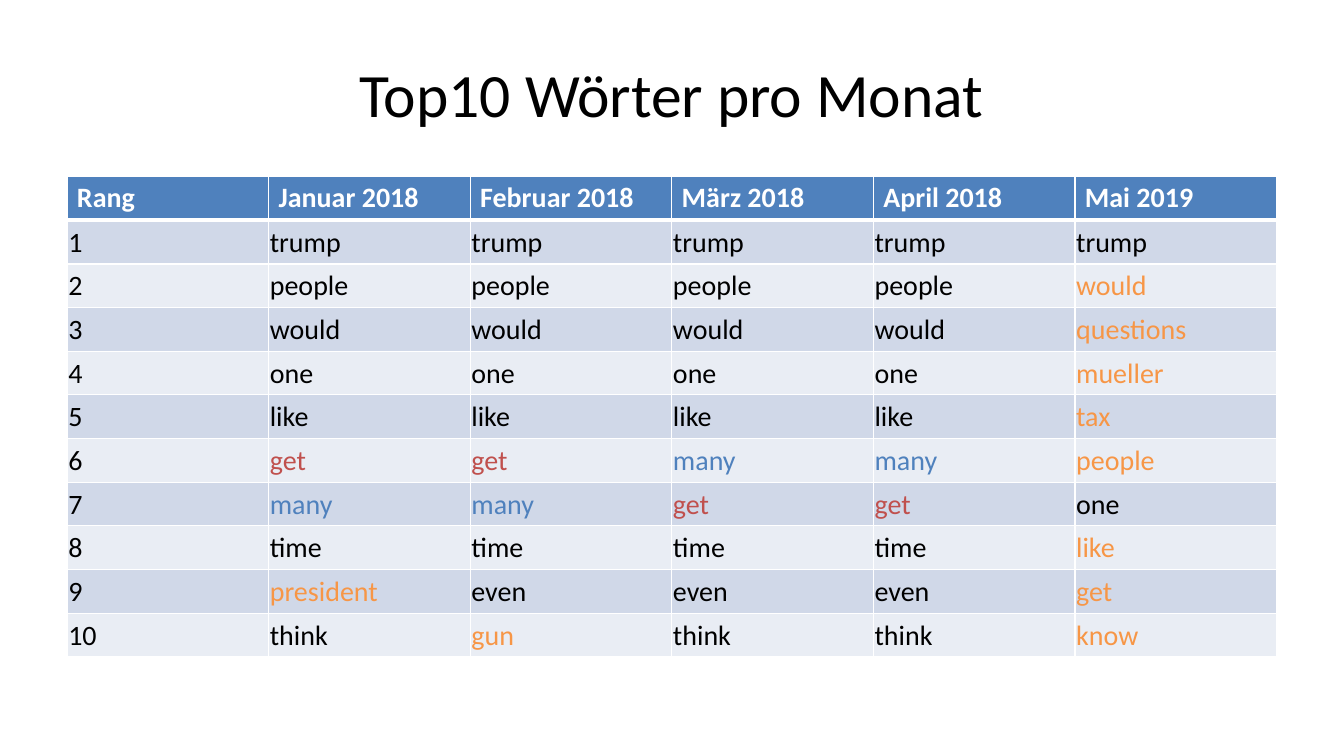
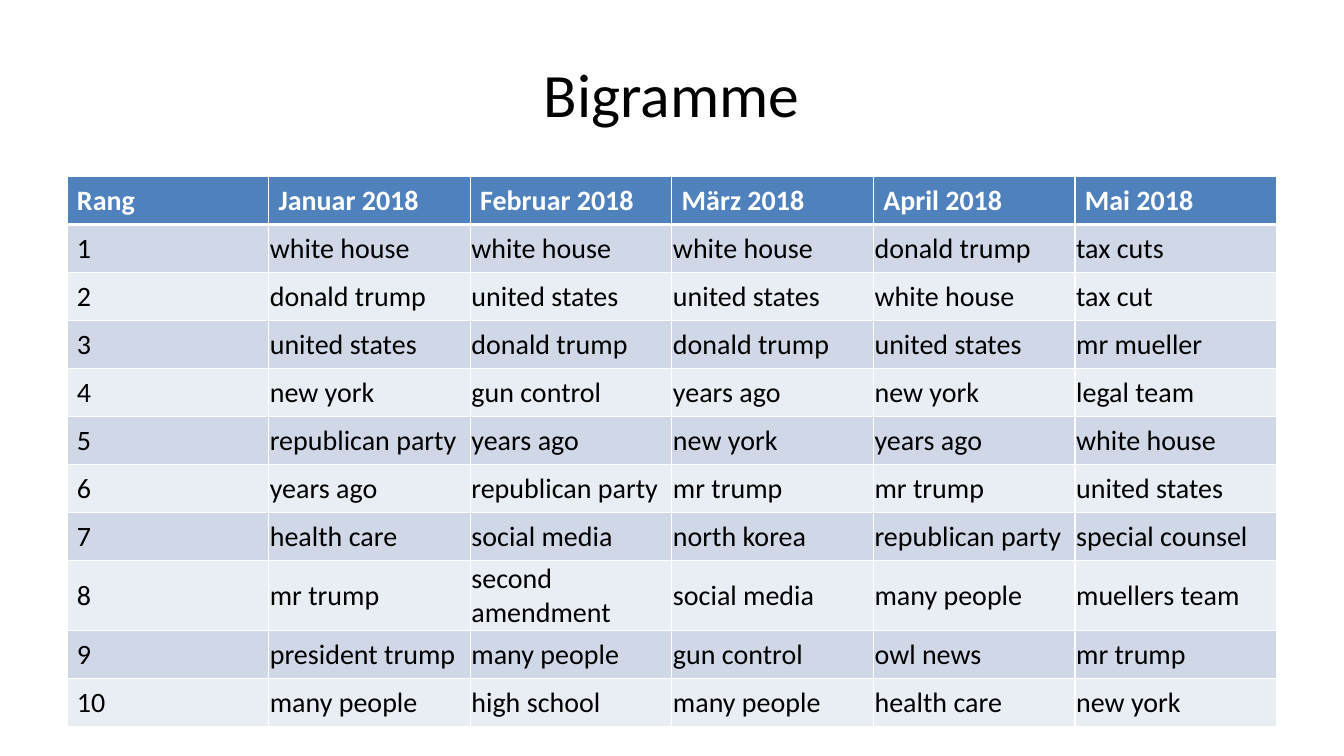
from dataclasses import dataclass

from lxml import etree
from pptx import Presentation
from pptx import util as u
from pptx.dml import color
from pptx.enum import text
from pptx.oxml import ns


@dataclass(frozen=True)
class Theme:
    font: str = "Calibri"
    title_size: int = 44
    table_size: int = 20
    ink: str = "000000"
    paper: str = "FFFFFF"
    header: str = "4F81BD"
    bands: tuple = ("D0D8E8", "E9EDF4")
    changed: str = "F79646"
    falling: str = "C0504D"
    rising: str = "4F81BD"
    thin: int = 1
    thick: int = 3


THEME = Theme()
MARKS = {"*": THEME.changed, "-": THEME.falling, "+": THEME.rising}
LEFT, WIDTH = u.Cm(1.69), u.Cm(30.48)
MONTHS = ["Januar 2018", "Februar 2018", "März 2018", "April 2018"]

WORDS = [
    ["trump", "trump", "trump", "trump", "trump"],
    ["people", "people", "people", "people", "*would"],
    ["would", "would", "would", "would", "*questions"],
    ["one", "one", "one", "one", "*mueller"],
    ["like", "like", "like", "like", "*tax"],
    ["-get", "-get", "+many", "+many", "*people"],
    ["+many", "+many", "-get", "-get", "one"],
    ["time", "time", "time", "time", "*like"],
    ["*president", "even", "even", "even", "*get"],
    ["think", "*gun", "think", "think", "*know"],
]

BIGRAMS = [
    ["white house", "white house", "white house", "donald trump", "tax cuts"],
    ["donald trump", "united states", "united states", "white house", "tax cut"],
    ["united states", "donald trump", "donald trump", "united states", "mr mueller"],
    ["new york", "gun control", "years ago", "new york", "legal team"],
    ["republican party", "years ago", "new york", "years ago", "white house"],
    ["years ago", "republican party", "mr trump", "mr trump", "united states"],
    ["health care", "social media", "north korea", "republican party", "special counsel"],
    ["mr trump", "second amendment", "social media", "many people", "muellers team"],
    ["president trump", "many people", "gun control", "owl news", "mr trump"],
    ["many people", "high school", "many people", "health care", "new york"],
]


class Slides:
    def __init__(self, theme):
        self.theme = theme
        self.deck = Presentation()
        self.deck.slide_width, self.deck.slide_height = u.Cm(33.87), u.Cm(19.05)
        self.page = None

    def add_page(self, title):
        self.page = self.deck.slides.add_slide(self.deck.slide_layouts[6])
        box = self.page.shapes.add_textbox(LEFT, u.Cm(0.76), WIDTH, u.Cm(3.18))
        frame = box.text_frame
        frame.word_wrap = True
        frame.vertical_anchor = text.MSO_ANCHOR.MIDDLE
        para = frame.paragraphs[0]
        para.alignment = text.PP_ALIGN.CENTER
        self.add_span(para, title, self.theme.title_size, self.theme.ink)

    def add_span(self, para, words, size, ink, bold=False):
        span = para.add_run()
        span.text = words
        span.font.name = self.theme.font
        span.font.size = u.Pt(size)
        span.font.bold = bold
        span.font.color.rgb = color.RGBColor.from_string(ink)

    def add_borders(self, cell, top, bottom):
        properties = cell._tc.get_or_add_tcPr()
        thin = self.theme.thin
        for side, points in (("L", thin), ("R", thin), ("T", top), ("B", bottom)):
            line = etree.SubElement(properties, ns.qn(f"a:ln{side}"), w=str(u.Pt(points)))
            fill = etree.SubElement(line, ns.qn("a:solidFill"))
            etree.SubElement(fill, ns.qn("a:srgbClr"), val=self.theme.paper)

    def fill_cell(self, cell, words, row, tight):
        theme = self.theme
        is_header = row == 0
        self.add_borders(
            cell,
            theme.thick if row == 1 else theme.thin,
            theme.thick if is_header else theme.thin,
        )
        cell.fill.solid()
        back = theme.header if is_header else theme.bands[(row - 1) % 2]
        cell.fill.fore_color.rgb = color.RGBColor.from_string(back)
        cell.vertical_anchor = text.MSO_ANCHOR.MIDDLE
        cell.margin_left = cell.margin_right = u.Cm(0.03 if tight else 0.25)
        cell.margin_top = u.Cm(0.03 if tight else 0.1)
        cell.margin_bottom = u.Cm(0 if tight else 0.1)
        ink = theme.paper if is_header else MARKS.get(words[0], theme.ink)
        para = cell.text_frame.paragraphs[0]
        self.add_span(para, words.lstrip("*-+"), theme.table_size, ink, is_header)

    def add_ranking(self, last_month, entries, row_height, tight_rank, tall_rows=None):
        ranked = [[str(rank), *words] for rank, words in enumerate(entries, 1)]
        rows = [["Rang", *MONTHS, last_month], *ranked]
        heights = [(tall_rows or {}).get(row, row_height) for row in range(len(rows))]
        table = self.page.shapes.add_table(
            len(rows), len(rows[0]), LEFT, u.Cm(4.45), WIDTH, u.Cm(sum(heights))
        ).table
        for row, words in enumerate(rows):
            table.rows[row].height = u.Cm(heights[row])
            for column, word in enumerate(words):
                tight = row > 0 and (column > 0 or tight_rank)
                self.fill_cell(table.cell(row, column), word, row, tight)

    def save(self):
        self.deck.save("out.pptx")


def main():
    slides = Slides(THEME)
    slides.add_page("Top10 Wörter pro Monat")
    slides.add_ranking("Mai 2019", WORDS, 1.1, tight_rank=True)
    slides.add_page("Bigramme")
    slides.add_ranking("Mai 2018", BIGRAMS, 1.21, tight_rank=False, tall_rows={8: 1.76})
    slides.save()


if __name__ == "__main__":
    main()
